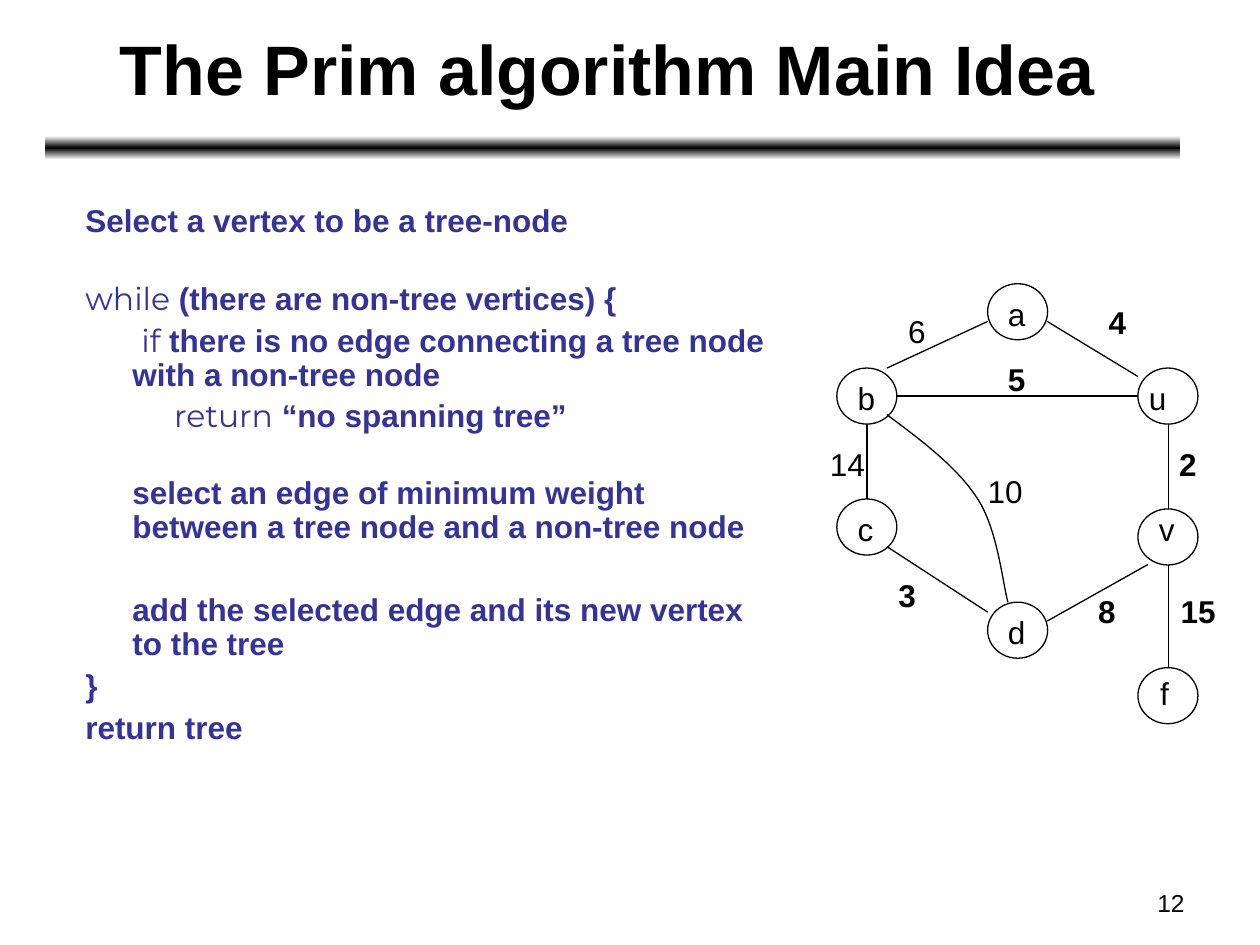
"""Build the slide on the main idea of the Prim algorithm."""
from copy import deepcopy

from pptx import Presentation
from pptx.dml.color import RGBColor
from pptx.enum.shapes import MSO_CONNECTOR, MSO_SHAPE
from pptx.enum.text import MSO_ANCHOR, MSO_AUTO_SIZE, PP_ALIGN
from pptx.oxml.ns import qn
from pptx.util import Cm, Pt

STRAIGHT = MSO_CONNECTOR.STRAIGHT
OVAL, ROUNDED = MSO_SHAPE.OVAL, MSO_SHAPE.ROUNDED_RECTANGLE
MIDDLE, FIT_SHAPE = MSO_ANCHOR.MIDDLE, MSO_AUTO_SIZE.SHAPE_TO_FIT_TEXT
LEFT, CENTER, RIGHT = PP_ALIGN.LEFT, PP_ALIGN.CENTER, PP_ALIGN.RIGHT
BLACK, WHITE, INDIGO = "000000", "FFFFFF", "333399"
NODE_WIDTH, NODE_HEIGHT, LABEL_HEIGHT = 1.21, 1.13, 1.02


def color(value):
    return RGBColor.from_string(value)


def add_text(text, left, top, width, height, size, bold=False, align=LEFT):
    box = slide.shapes.add_textbox(Cm(left), Cm(top), Cm(width), Cm(height))
    box.text_frame.text = text
    paragraph = box.text_frame.paragraphs[0]
    paragraph.alignment = align
    font = paragraph.runs[0].font
    font.name, font.size, font.bold = "Arial", Pt(size), bold
    font.color.rgb = color(BLACK)
    return box.text_frame


prs = Presentation()
prs.slide_width, prs.slide_height = Cm(25.4), Cm(19.05)
slide = prs.slides.add_slide(prs.slide_layouts[6])

rule = slide.shapes.add_shape(ROUNDED, Cm(0.91), Cm(2.74), Cm(22.89), Cm(0.48))
rule.shadow.inherit = False
rule.line.fill.background()
rule.fill.gradient()
rule.fill.gradient_angle = 270
outer, middle = rule.fill.gradient_stops
outer.color.rgb, middle.color.rgb = color(WHITE), color(BLACK)
outer.position, middle.position = 0, 0.5
stops = rule._element.spPr.find(qn("a:gradFill")).find(qn("a:gsLst"))
last_stop = deepcopy(stops[0])
last_stop.set("pos", "100000")
stops.append(last_stop)

add_text("12", 18.21, 17.78, 5.92, 0.89, 14, align=RIGHT).word_wrap = True
title = add_text("The Prim algorithm Main Idea", 1.45, 0, 21.59, 2.74, 40, True, CENTER)
title.word_wrap = True
title.vertical_anchor = MIDDLE

# keyword, rest, left indent, first-line indent, space before
steps = [
    ("", "Select a vertex to be a tree-node", 0, 0, 4.5),
    ("while", " (there are non-tree vertices) {", 0, 0, 25),
    ("if", " there is no edge connecting a tree node with a non-tree node", 0.95, 0.18, 4.5),
    ("return", " “no spanning tree”", 1.79, 0, 4.5),
    ("", "select an edge of minimum weight between a tree node and a non-tree node", 0.95, 0, 24),
    ("", "add the selected edge and its new vertex to the tree", 0.95, 0, 28.5),
    ("", "}", 0, 0, 4.5),
    ("", "return tree", 0, 0, 4.5),
]
pseudocode = slide.shapes.add_textbox(Cm(1.47), Cm(4.01), Cm(14.4), Cm(12.7)).text_frame
pseudocode.word_wrap = True
for index, (keyword, rest, indent, first_indent, gap) in enumerate(steps):
    step = pseudocode.add_paragraph() if index else pseudocode.paragraphs[0]
    step.line_spacing, step.space_before = 0.9, Pt(gap)
    properties = step._p.get_or_add_pPr()
    properties.set("marL", str(Cm(indent)))
    properties.set("indent", str(Cm(first_indent)))
    for text, family, bold in ((keyword, "Montserrat", False), (rest, "Arial", True)):
        if text:
            run = step.add_run()
            run.text = text
            run.font.name, run.font.size, run.font.bold = family, Pt(18), bold
            run.font.color.rgb = color(INDIGO)

nodes = [(16.87, 7.42), (16.87, 10.06), (19.91, 5.72), (22.94, 7.42),
         (19.91, 12.14), (22.94, 10.26), (22.94, 13.46)]
for left, top in nodes:
    node = slide.shapes.add_shape(OVAL, Cm(left), Cm(top), Cm(NODE_WIDTH), Cm(NODE_HEIGHT))
    node.shadow.inherit = False
    node.fill.background()
    node.line.color.rgb, node.line.width = color(BLACK), Pt(0.75)

edges = [
    (17.48, 8.55, 17.48, 10.06), (17.88, 7.42, 19.91, 6.48),
    (17.88, 11.02, 19.91, 12.34), (21.11, 12.52, 23.14, 11.38),
    (21.11, 6.48, 22.94, 7.59), (23.55, 8.55, 23.55, 10.26),
    (18.08, 7.98, 22.94, 7.98), (23.55, 11.38, 23.55, 13.46),
]
for ends in edges:
    edge = slide.shapes.add_connector(STRAIGHT, *(Cm(value) for value in ends))
    edge.line.color.rgb, edge.line.width = color(BLACK), Pt(0.75)
    edge._element.spPr.add_effectLst() if hasattr(edge._element.spPr, "add_effectLst") else \
        edge._element.spPr.append(edge._element.spPr.makeelement(qn("a:effectLst"), {}))

curve_points = [(17.88, 8.36), (18.59, 8.89), (19.3, 9.42), (19.71, 10.06),
                (20.12, 10.69), (20.22, 11.81), (20.32, 12.14)]
start, *controls = [(Cm(x), Cm(y)) for x, y in curve_points]
builder = slide.shapes.build_freeform(*start)
builder.add_line_segments(controls, close=False)
curve = builder.convert_to_shape()
curve.shadow.inherit = False
curve.fill.background()
curve.line.color.rgb, curve.line.width = color(BLACK), Pt(0.75)
segments = list(curve._element.spPr.iter(qn("a:lnTo")))
outline = segments[0].getparent()
for first in range(0, len(segments), 3):
    bezier = outline.makeelement(qn("a:cubicBezTo"), {})
    outline.append(bezier)
    for segment in segments[first:first + 3]:
        bezier.append(segment[0])
        outline.remove(segment)

labels = [
    ("6", 18.06, 6.17, False), ("4", 22.1, 5.99, True), ("5", 20.07, 7.14, True),
    ("2", 23.52, 8.84, True), ("15", 23.55, 11.81, True), ("8", 21.89, 11.81, True),
    ("10", 19.66, 9.4, False), ("14", 16.48, 8.84, False), ("3", 17.86, 11.48, True),
    ("u", 22.91, 7.52, False), ("v", 23.11, 10.16, False), ("b", 17.04, 7.52, False),
    ("a", 20.07, 5.82, False), ("c", 17.04, 10.16, False), ("d", 20.07, 12.24, False),
    ("f", 23.14, 13.46, False),
]
narrow_widths = {"v": 0.81, "c": 0.81, "f": 0.69}
for text, left, top, bold in labels:
    width = narrow_widths.get(text, 0.5 + 0.36 * len(text))
    label = add_text(text, left, top, width, LABEL_HEIGHT, 18, bold)
    label.word_wrap = False
    label.auto_size = FIT_SHAPE

prs.save("out.pptx")
